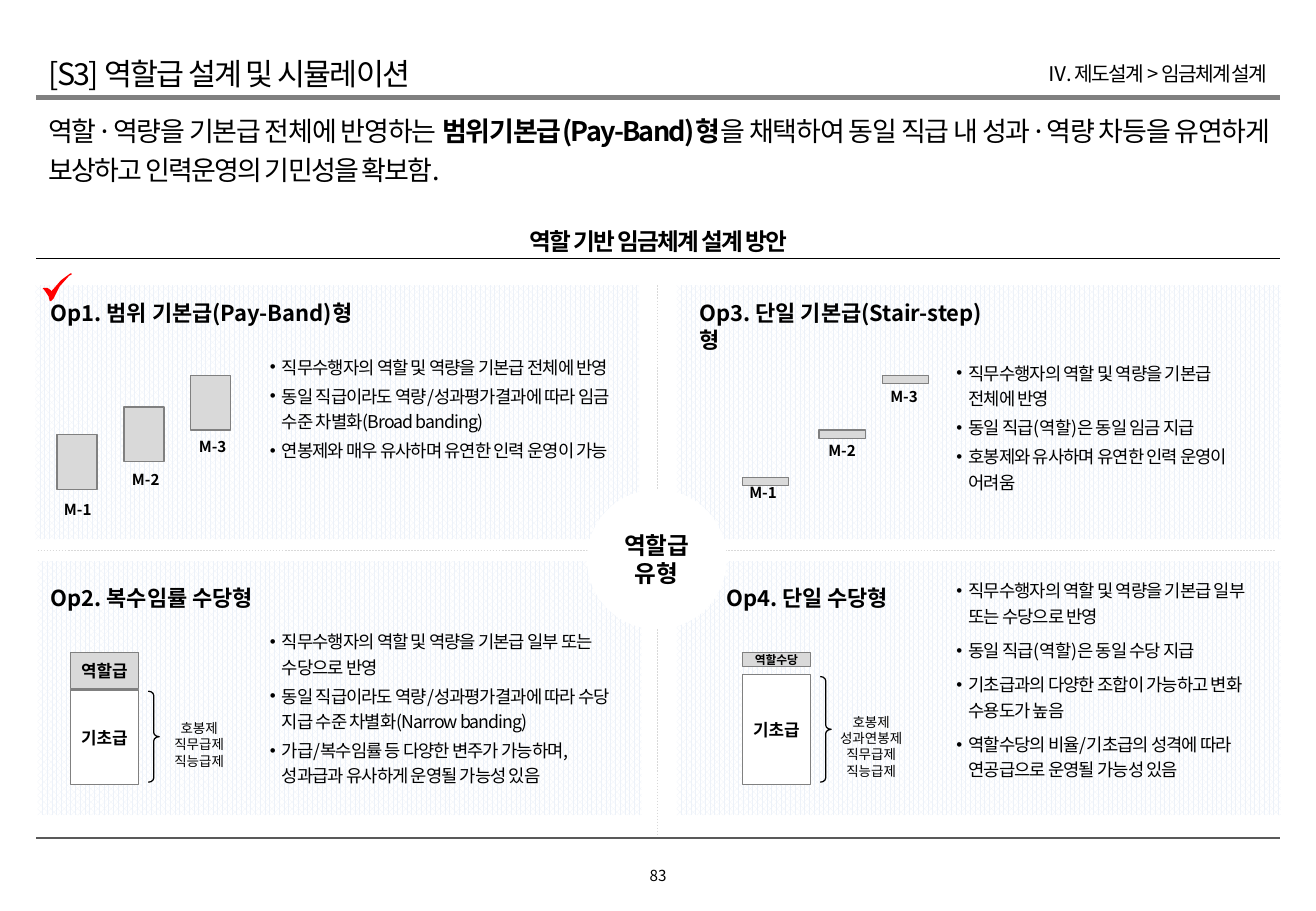
import pptx
import pptx.util
import pptx.dml.color
import pptx.enum.dml
import pptx.enum.shapes
import pptx.enum.text
import lxml.etree
from pptx.util import Inches

RGBColor = pptx.dml.color.RGBColor
SHAPE = pptx.enum.shapes.MSO_SHAPE
ALIGN = pptx.enum.text.PP_ALIGN
ANCHOR = pptx.enum.text.MSO_ANCHOR

BLACK = RGBColor(0x00, 0x00, 0x00)
WHITE = RGBColor(0xFF, 0xFF, 0xFF)
RED = RGBColor(0xFF, 0x00, 0x00)
GRAY = RGBColor(0x80, 0x80, 0x80)
DARK_GRAY = RGBColor(0x59, 0x59, 0x59)
LIGHT_GRAY = RGBColor(0xD9, 0xD9, 0xD9)
PALE_BLUE = RGBColor(0xED, 0xF2, 0xF9)
FONT = "Noto Sans CJK KR"
A = "{http://schemas.openxmlformats.org/drawingml/2006/main}"

prs = pptx.Presentation()
prs.slide_width = Inches(10.83)
prs.slide_height = Inches(7.5)
slide = prs.slides.add_slide(prs.slide_layouts[4])
shapes = slide.shapes


def write(shape, lines, size, bold=False, align=ALIGN.LEFT, anchor=ANCHOR.TOP,
          inset=(0.1, 0.05), spacing=1.0, gap=0, tracking=0, bullets=False):
    frame = shape.text_frame
    frame.word_wrap = True
    frame.auto_size = pptx.enum.text.MSO_AUTO_SIZE.NONE
    frame.vertical_anchor = anchor
    frame.margin_left = frame.margin_right = Inches(inset[0])
    frame.margin_top = frame.margin_bottom = Inches(inset[1])
    for index, line in enumerate(lines):
        paragraph = frame.add_paragraph() if index else frame.paragraphs[0]
        paragraph.text = line
        paragraph.alignment = align
        paragraph.line_spacing = spacing
        paragraph.space_before = pptx.util.Pt(gap if index else 0)
        if bullets:
            properties = paragraph._p.get_or_add_pPr()
            properties.set("marL", str(Inches(0.1)))
            properties.set("indent", str(-Inches(0.1)))
            lxml.etree.SubElement(properties, A + "buSzPct", val="95000")
            lxml.etree.SubElement(properties, A + "buChar", char="•")
        paragraph.font.size = pptx.util.Pt(size)
        paragraph.font.bold = bold
        paragraph.font.name = FONT
        paragraph.font.color.rgb = BLACK
        defaults = paragraph.font._element
        defaults.set("spc", str(int(tracking * 100)))
        lxml.etree.SubElement(defaults, A + "ea", typeface=FONT)


def draw(kind, box, fill=None, line=None):
    shape = shapes.add_shape(kind, *map(Inches, box))
    shape.shadow.inherit = False
    if fill is None:
        shape.fill.background()
    else:
        shape.fill.solid()
        shape.fill.fore_color.rgb = fill
    if line is None:
        shape.line.fill.background()
    else:
        shape.line.color.rgb = line
        shape.line.width = pptx.util.Pt(0.75)
    return shape


title = shapes.title
title.left, title.top, title.width, title.height = map(Inches, (0.3, 0.43, 6, 0.35))
write(title, ["[S3] 역할급 설계 및 시뮬레이션"], 18, anchor=ANCHOR.MIDDLE, tracking=-1)

breadcrumb = shapes.add_textbox(*map(Inches, (6.35, 0.43, 4.18, 0.35)))
write(breadcrumb, ["Ⅳ. 제도설계 > 임금체계 설계"], 12, align=ALIGN.RIGHT,
      anchor=ANCHOR.MIDDLE, tracking=-1)

message = shapes.add_textbox(*map(Inches, (0.3, 0.84, 10.24, 0.75)))
write(message, [""], 16, align=ALIGN.JUSTIFY, spacing=1.2, tracking=-1)
for words, strong in [
    ("역할·역량을 기본급 전체에 반영하는 ", False),
    ("범위기본급(Pay-Band)형", True),
    ("을 채택하여 동일 직급 내 성과·역량 차등을 유연하게 보상하고 "
     "인력운영의 기민성을 확보함.", False),
]:
    run = message.text_frame.paragraphs[0].add_run()
    run.text = words
    run.font.bold = strong

subtitle = shapes.add_textbox(*map(Inches, (0.3, 1.8, 10.24, 0.35)))
write(subtitle, ["역할 기반 임금체계 설계 방안"], 14, True, ALIGN.CENTER,
      ANCHOR.BOTTOM, tracking=-1)

for left, top in [(0.31, 4.62), (5.57, 4.62), (5.57, 2.35), (0.29, 2.35)]:
    panel = draw(SHAPE.RECTANGLE, (left, top, 4.97, 2.09))
    panel.fill.patterned()
    panel.fill.pattern = pptx.enum.dml.MSO_PATTERN.PERCENT_75
    panel.fill.fore_color.rgb = PALE_BLUE
    panel.fill.back_color.rgb = WHITE

for x1, y1, x2, y2, color, width, dashed in [
    (0.3, 0.8, 10.53, 0.8, GRAY, 3, False),
    (0.3, 2.13, 10.53, 2.13, BLACK, 0.5, False),
    (0.3, 6.9, 10.53, 6.9, DARK_GRAY, 1.5, False),
    (5.41, 2.35, 5.41, 6.87, LIGHT_GRAY, 0.25, True),
    (0.31, 4.53, 10.5, 4.53, LIGHT_GRAY, 0.25, True),
]:
    rule = shapes.add_connector(pptx.enum.shapes.MSO_CONNECTOR.STRAIGHT,
                                *map(Inches, (x1, y1, x2, y2)))
    rule.line.color.rgb = color
    rule.line.width = pptx.util.Pt(width)
    if dashed:
        rule.line.dash_style = pptx.enum.dml.MSO_LINE.DASH
    lxml.etree.SubElement(rule._element.spPr, A + "effectLst")

hub = draw(SHAPE.OVAL, (4.83, 4.03, 1.15, 1.15), WHITE)
write(hub, ["역할급", "유형"], 14, True, ALIGN.CENTER, ANCHOR.MIDDLE, (0, 0.05))

options = [
    ("Op1. 범위 기본급(Pay-Band)형", (0.32, 2.42), (2.12, 2.85, 3.02, 1.44), 2.1, [
        "직무수행자의 역할 및 역량을 기본급 전체에 반영",
        "동일 직급이라도 역량/성과평가결과에 따라 임금 수준 차별화(Broad banding)",
        "연봉제와 매우 유사하며 유연한 인력 운영이 가능"]),
    ("Op2. 복수임률 수당형", (0.32, 4.76), (2.12, 5.11, 3.02, 1.44), 2.1, [
        "직무수행자의 역할 및 역량을 기본급 일부 또는 수당으로 반영",
        "동일 직급이라도 역량/성과평가결과에 따라 수당 지급 수준 차별화(Narrow banding)",
        "가급/복수임률 등 다양한 변주가 가능하며, 성과급과 유사하게 운영될 가능성 있음"]),
    ("Op3. 단일 기본급(Stair-step)형", (5.66, 2.42), (7.77, 2.9, 2.69, 1.23), 2.1, [
        "직무수행자의 역할 및 역량을 기본급 전체에 반영",
        "동일 직급(역할)은 동일 임금 지급",
        "호봉제와 유사하며 유연한 인력 운영이 어려움"]),
    ("Op4. 단일 수당형", (5.88, 4.76), (7.77, 4.69, 2.69, 1.85), 5.25, [
        "직무수행자의 역할 및 역량을 기본급 일부 또는 수당으로 반영",
        "동일 직급(역할)은 동일 수당 지급",
        "기초급과의 다양한 조합이 가능하고 변화 수용도가 높음",
        "역할수당의 비율/기초급의 성격에 따라 연공급으로 운영될 가능성 있음"]),
]
for number, (name, corner, box, gap, features) in enumerate(options, 1):
    heading = shapes.add_textbox(*map(Inches, (*corner, 2.68, 0.32)))
    write(heading, [name], 13, True)
    feature_list = slide.placeholders[number]
    feature_list.left, feature_list.top, feature_list.width, feature_list.height = map(Inches, box)
    write(feature_list, features, 10.5, spacing=1.2, gap=gap, tracking=-0.5, bullets=True)
    shapes._spTree.append(feature_list._element)

for grade, bar, label in [
    ("M-1", (0.47, 3.58, 0.33, 0.45), (0.47, 4.12)),
    ("M-2", (1.02, 3.35, 0.33, 0.45), (1.03, 3.87)),
    ("M-3", (1.57, 3.09, 0.33, 0.45), (1.58, 3.6)),
    ("M-1", (6.11, 3.93, 0.38, 0.07), (6.11, 3.98)),
    ("M-2", (6.74, 3.54, 0.38, 0.07), (6.76, 3.63)),
    ("M-3", (7.26, 3.09, 0.38, 0.07), (7.27, 3.19)),
]:
    draw(SHAPE.RECTANGLE, bar, LIGHT_GRAY, GRAY)
    grade_label = shapes.add_textbox(*map(Inches, (*label, 0.34, 0.15)))
    write(grade_label, [grade], 9, True, ALIGN.CENTER, inset=(0, 0))

for left, base_top, allowance, allowance_height, size, schemes, schemes_box, brace_top in [
    (0.58, 5.68, "역할급", 0.3, 10, ["호봉제", "직무급제", "직능급제"],
     (1.27, 5.93, 0.74, 0.4), 5.69),
    (6.11, 5.55, "역할수당", 0.12, 7, ["호봉제", "성과연봉제", "직무급제", "직능급제"],
     (6.8, 5.88, 0.74, 0.54), 5.57),
]:
    base_pay = draw(SHAPE.RECTANGLE, (left, base_top, 0.56, 6.46 - base_top), WHITE, GRAY)
    write(base_pay, ["기초급"], 10, True, ALIGN.CENTER, ANCHOR.MIDDLE, (0, 0))
    role_pay = draw(SHAPE.RECTANGLE, (left, 5.37, 0.56, allowance_height), LIGHT_GRAY, GRAY)
    write(role_pay, [allowance], size, True, ALIGN.CENTER, ANCHOR.MIDDLE, (0, 0))
    base_schemes = shapes.add_textbox(*map(Inches, schemes_box))
    write(base_schemes, schemes, 8, align=ALIGN.CENTER, inset=(0, 0))
    brace = draw(SHAPE.RIGHT_BRACE, (left + 0.64, brace_top, 0.09, 6.44 - brace_top), line=BLACK)
    brace.adjustments[0] = 0.39

outline = shapes.build_freeform(41, 248, scale=Inches(0.01))
outline.add_line_segments([
    (40, 244), (36, 238), (35, 238), (36, 237), (39, 237), (42, 239), (42, 240),
    (44, 238), (50, 231), (58, 225), (59, 225), (59, 226), (57, 227), (49, 236),
    (46, 242), (44, 246), (42, 248)])
check_mark = outline.convert_to_shape()
check_mark.shadow.inherit = False
check_mark.fill.solid()
check_mark.fill.fore_color.rgb = RED
check_mark.line.fill.background()

page_number = shapes.add_textbox(*map(Inches, (5.09, 7.05, 0.65, 0.33)))
write(page_number, ["83"], 9, align=ALIGN.CENTER, anchor=ANCHOR.MIDDLE, spacing=0.9)

prs.save("out.pptx")
